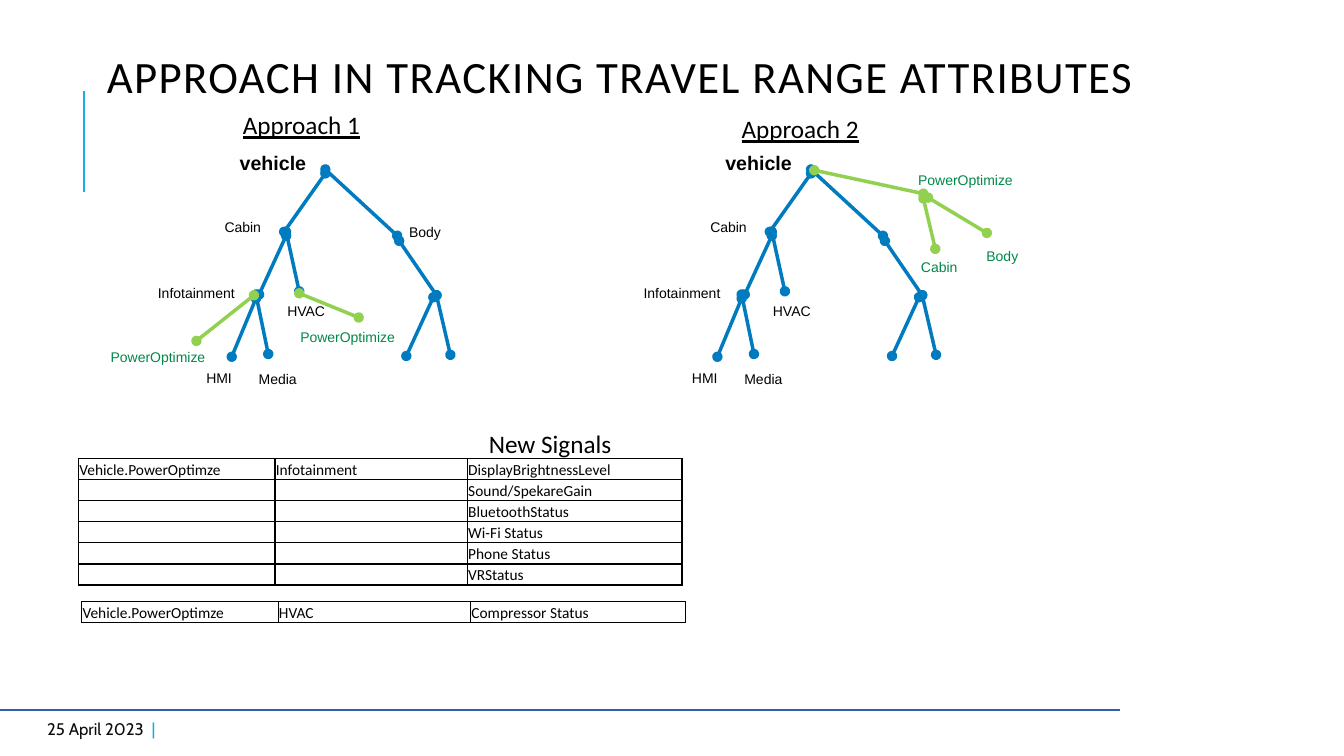
import pptx
import pptx.dml.color
import pptx.enum.shapes
import pptx.enum.text
import pptx.oxml.ns
import pptx.util
from lxml import etree
from pptx.util import Cm

RGBColor = pptx.dml.color.RGBColor
BLACK = RGBColor(0x00, 0x00, 0x00)
INK = RGBColor(0x0D, 0x0D, 0x0D)
BLUE = RGBColor(0x00, 0x7B, 0xC0)
LIME = RGBColor(0x92, 0xD0, 0x50)
GREEN = RGBColor(0x00, 0x88, 0x4A)
ACCENT = RGBColor(0x1C, 0xAD, 0xE4)
SKY = RGBColor(0x00, 0xB0, 0xF0)
RULE = RGBColor(0x35, 0x5E, 0xA8)

TREE_EDGES = [
    (8.2, 4.37, 7.16, 5.84), (8.2, 4.27, 10.01, 5.94),
    (7.21, 5.94, 6.53, 7.42), (7.21, 5.84, 7.54, 7.34),
    (10.06, 6.07, 11, 7.44),
    (6.45, 7.52, 5.84, 8.99), (6.45, 7.42, 6.76, 8.92),
    (10.92, 7.49, 10.24, 8.97), (11, 7.44, 11.35, 8.94),
]
TREE_LABELS = [
    ("Infotainment", 3.73, 7.04), ("Cabin", 5.41, 5.38), ("HMI", 4.95, 9.19),
    ("Media", 6.27, 9.22), ("HVAC", 6.99, 7.49),
]
POWER_EDGES = [
    (6.4, 7.44, 4.95, 8.59), (7.54, 7.39, 9.04, 8),
    (20.52, 4.29, 23.27, 4.88), (23.27, 5, 23.57, 6.27),
    (23.39, 4.98, 24.87, 5.87),
]
POWER_LABELS = [
    ("PowerOptimize", 7.32, 8.15), ("PowerOptimize", 2.54, 8.66),
    ("PowerOptimize", 22.89, 4.19), ("Cabin", 22.96, 6.38), ("Body", 24.61, 6.1),
]
TREE_SHIFT = 12.24
COLUMNS = (4.95, 4.85, 5.41)
ROW_HEIGHT = 0.53
INFOTAINMENT_SIGNALS = [
    ("Vehicle.PowerOptimze", "Infotainment", "DisplayBrightnessLevel"),
    ("", "", "Sound/SpekareGain"),
    ("", "", "BluetoothStatus"),
    ("", "", "Wi-Fi Status"),
    ("", "", "Phone Status"),
    ("", "", "VRStatus"),
]
HVAC_SIGNALS = [("Vehicle.PowerOptimze", "HVAC", "Compressor Status")]


def sub(parent, tag, **attrs):
    return etree.SubElement(parent, pptx.oxml.ns.qn(tag), **attrs)


def add_run(p, text, size, color, font="Calibri", bold=False, underline=False):
    r = p.add_run()
    r.text = text
    r.font.name = font
    r.font.size = pptx.util.Pt(size)
    r.font.bold = bold
    r.font.underline = underline
    r.font.color.rgb = color
    return r


def add_line(s, ends, color, width, oval=False):
    line = s.shapes.add_connector(
        pptx.enum.shapes.MSO_CONNECTOR.STRAIGHT, *[Cm(v) for v in ends])
    line.line.color.rgb = color
    line.line.width = pptx.util.Pt(width)
    if oval:
        ln = line.line._get_or_add_ln()
        sub(ln, "a:headEnd", type="oval")
        sub(ln, "a:tailEnd", type="oval")
    sub(line._element.spPr, "a:effectLst")


def add_box(s, left, top, width, height):
    tf = s.shapes.add_textbox(Cm(left), Cm(top), Cm(width), Cm(height)).text_frame
    tf.word_wrap = True
    return tf


def add_label(s, text, left, top, color=BLACK):
    tf = add_box(s, left, top, 2.92, 0.68)
    add_run(tf.paragraphs[0], text, 10, color, "Arial")


def add_heading(s, text, left, top, underline=False):
    tf = add_box(s, left, top, 5.13, 1.02)
    add_run(tf.paragraphs[0], text, 18, BLACK, underline=underline)


def add_tree(s, shift):
    for x1, y1, x2, y2 in TREE_EDGES:
        add_line(s, (x1 + shift, y1, x2 + shift, y2), BLUE, 2.5, oval=True)
    for text, left, top in TREE_LABELS:
        add_label(s, text, left + shift, top)
    tf = add_box(s, 5.79 + shift, 3.67, 2.36, 0.86)
    add_run(tf.paragraphs[0], "vehicle", 14, BLACK, "Arial", bold=True)


def format_cell(cell, text):
    cell.margin_left = cell.margin_right = cell.margin_top = Cm(0.02)
    cell.margin_bottom = 0
    cell.vertical_anchor = pptx.enum.text.MSO_ANCHOR.BOTTOM
    tc_pr = cell._tc.get_or_add_tcPr()
    for side in ("L", "R", "T", "B"):
        ln = sub(tc_pr, f"a:ln{side}", w="12700")
        sub(sub(ln, "a:solidFill"), "a:srgbClr", val=str(BLACK))
    cell.fill.background()
    p = cell.text_frame.paragraphs[0]
    if text:
        add_run(p, text, 11, BLACK)
    else:
        sub(p._p, "a:endParaRPr", sz="1100")


def add_signal_table(s, left, top, rows):
    table = s.shapes.add_table(
        len(rows), len(COLUMNS), Cm(left), Cm(top),
        Cm(sum(COLUMNS)), Cm(ROW_HEIGHT * len(rows))).table
    table.first_row = False
    table.horz_banding = False
    for column, width in zip(table.columns, COLUMNS):
        column.width = Cm(width)
    for row, texts in zip(table.rows, rows):
        row.height = Cm(ROW_HEIGHT)
        for cell, text in zip(row.cells, texts):
            format_cell(cell, text)


def set_title(s, text):
    title = s.shapes.title
    title.left, title.top = Cm(2.44), Cm(1.37)
    title.width, title.height = Cm(26.87), Cm(1.7)
    tf = title.text_frame
    tf.word_wrap = True
    tf.auto_size = pptx.enum.text.MSO_AUTO_SIZE.NONE
    tf.vertical_anchor = pptx.enum.text.MSO_ANCHOR.TOP
    p = tf.paragraphs[0]
    p.alignment = pptx.enum.text.PP_ALIGN.LEFT
    p.line_spacing = 0.8
    r = add_run(p, text, 32, BLACK)
    r.font._element.set("spc", "100")


def add_footer(s):
    add_line(s, (0, 17.88, 28.22, 17.88), RULE, 1.5)
    tf = add_box(s, 0.94, 17.86, 4.47, 1.02)
    tf.vertical_anchor = pptx.enum.text.MSO_ANCHOR.MIDDLE
    p = tf.paragraphs[0]
    add_run(p, "25 April 2023  ", 12, INK, "Cabin")
    add_run(p, "|", 12, SKY, "Cabin")


def main():
    prs = pptx.Presentation()
    prs.slide_width, prs.slide_height = Cm(33.87), Cm(19.05)
    s = prs.slides.add_slide(prs.slide_layouts[5])
    set_title(s, "APPROACH IN TRACKING TRAVEL RANGE ATTRIBUTES")
    add_line(s, (2.11, 4.83, 2.11, 2.29), ACCENT, 1.5)
    add_footer(s)
    for shift in (0, TREE_SHIFT):
        add_tree(s, shift)
    add_label(s, "Body", 10.06, 5.51)
    for ends in POWER_EDGES:
        add_line(s, ends, LIME, 2.5, oval=True)
    for text, left, top in POWER_LABELS:
        add_label(s, text, left, top, GREEN)
    add_heading(s, "Approach 1", 5.87, 2.64, underline=True)
    add_heading(s, "Approach 2", 18.44, 2.74, underline=True)
    add_heading(s, "New Signals", 12.07, 10.67)
    add_signal_table(s, 1.98, 11.56, INFOTAINMENT_SIGNALS)
    add_signal_table(s, 2.06, 15.16, HVAC_SIGNALS)
    prs.save("out.pptx")


if __name__ == "__main__":
    main()
